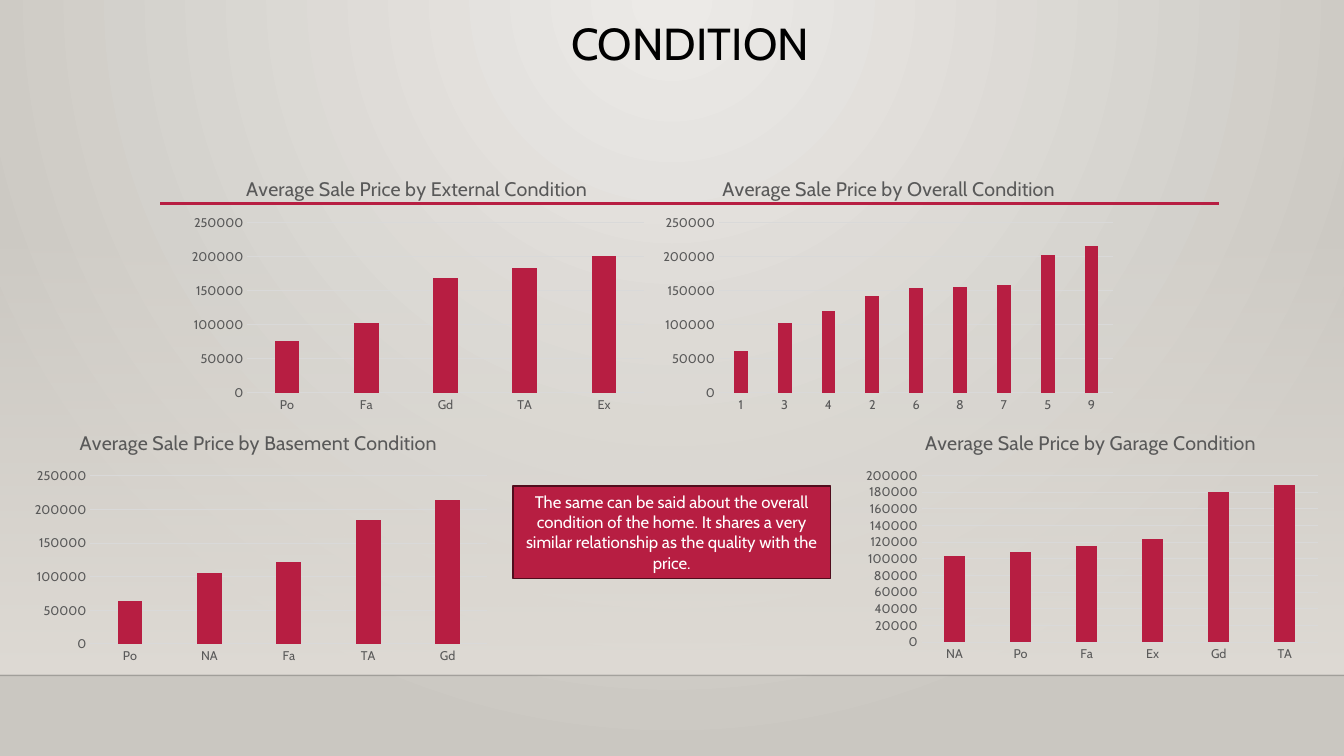
from lxml import etree
from pptx import Presentation
from pptx.chart.data import CategoryChartData
from pptx.dml.color import RGBColor
from pptx.enum.chart import XL_CHART_TYPE, XL_TICK_MARK
from pptx.enum.shapes import MSO_CONNECTOR, MSO_SHAPE
from pptx.enum.text import MSO_ANCHOR, PP_ALIGN
from pptx.oxml import parse_xml
from pptx.oxml.ns import nsdecls, qn
from pptx.util import Cm, Pt

COLUMNS = XL_CHART_TYPE.COLUMN_CLUSTERED
NO_TICK = XL_TICK_MARK.NONE
STRAIGHT = MSO_CONNECTOR.STRAIGHT
RECTANGLE = MSO_SHAPE.RECTANGLE
TOP, MIDDLE = MSO_ANCHOR.TOP, MSO_ANCHOR.MIDDLE
CENTER = PP_ALIGN.CENTER

FONT = "Cabin"
RED, GREY, GRID = "B71E42", "595959", "D9D9D9"
WIDTH, HEIGHT = 33.87, 19.05

# title, left, top, width, height, title offset, axis maximum, axis step, values
CHARTS = [
    ("Average Sale Price by Overall Condition", 16.46, 4.14, 11.84, 6.4, 0.14, 250000, 50000,
     {"1": 61000, "3": 102000, "4": 120000, "2": 142000, "6": 154000,
      "8": 156000, "7": 158000, "5": 203000, "9": 216000}),
    ("Average Sale Price by External Condition", 4.57, 4.14, 11.89, 6.4, 0.13, 250000, 50000,
     {"Po": 76000, "Fa": 103000, "Gd": 169000, "TA": 184000, "Ex": 201000}),
    ("Average Sale Price by Basement Condition", 0.61, 10.54, 11.91, 6.32, 0.11, 250000, 50000,
     {"Po": 64000, "NA": 106000, "Fa": 122000, "TA": 184000, "Gd": 214000}),
    ("Average Sale Price by Garage Condition", 21.56, 10.54, 11.89, 6.27, 0.14, 200000, 20000,
     {"NA": 103000, "Po": 108000, "Fa": 115000, "Ex": 124000, "Gd": 180000, "TA": 188000}),
]


def rgb(value):
    return RGBColor.from_string(value)


def style_font(font, size, color):
    font.name, font.size, font.bold = FONT, Pt(size), False
    font.color.rgb = rgb(color)


def set_alpha(color_element, percent):
    etree.SubElement(color_element, qn("a:alpha")).set("val", str(percent * 1000))


def set_gradient(fill, *colors):
    fill.gradient()
    for position, (stop, color) in enumerate(zip(fill.gradient_stops, colors)):
        stop.color.rgb = rgb(color)
        stop.position = position


def add_background(s):
    """Fill the slide with a gradient that spreads from its top centre."""
    set_gradient(s.background.fill, "ECEAE7", "CAC7C1")
    grad = s.element.xpath("./p:cSld/p:bg//a:gradFill")[0]
    grad.replace(grad.find(qn("a:lin")), parse_xml(
        f'<a:path {nsdecls("a")} path="circle">'
        '<a:fillToRect l="43000" t="0" r="43000" b="100000"/></a:path>'))


def add_floor(s):
    """Add a panel that fades in from clear at its top edge."""
    sp = s.shapes.add_shape(RECTANGLE, 0, Cm(5.61), Cm(WIDTH), Cm(11.4))
    sp.shadow.inherit = False
    sp.line.fill.background()
    set_gradient(sp.fill, "DFDBD5", "DFDBD5")
    sp.fill.gradient_angle = 270
    set_alpha(sp.element.xpath(".//a:gs/a:srgbClr")[0], 0)


def add_rule(s, left, right, y, color, width, alpha=100):
    line = s.shapes.add_connector(STRAIGHT, Cm(left), Cm(y), Cm(right), Cm(y))
    line.line.color.rgb = rgb(color)
    line.line.width = Pt(width)
    if alpha < 100:
        set_alpha(line.element.xpath(".//a:ln//a:srgbClr")[0], alpha)
    etree.SubElement(line.element.spPr, qn("a:effectLst"))


def write(sp, text, size, color, anchor):
    tf = sp.text_frame
    tf.word_wrap = True
    tf.vertical_anchor = anchor
    p = tf.paragraphs[0]
    p.text = text
    p.alignment = CENTER
    style_font(p.font, size, color)
    return p


def add_title(s, text):
    sp = s.shapes.add_textbox(Cm(4.06), Cm(0.43), Cm(26.67), Cm(2.92))
    write(sp, text, 32, "000000", TOP).line_spacing = 0.9


def add_callout(s, text):
    sp = s.shapes.add_shape(RECTANGLE, Cm(12.93), Cm(12.24), Cm(8), Cm(2.34))
    sp.shadow.inherit = False
    sp.fill.solid()
    sp.fill.fore_color.rgb = rgb(RED)
    sp.line.color.rgb = rgb("500D1D")
    sp.line.width = Pt(1.25)
    write(sp, text, 12, "FFFFFF", MIDDLE)


def place(element, successors, **layout):
    """Give a chart part a manual layout, in fractions of the chart."""
    for old in element.findall(qn("c:layout")):
        element.remove(old)
    node = etree.Element(qn("c:layout"))
    manual = etree.SubElement(node, qn("c:manualLayout"))
    for name, value in layout.items():
        etree.SubElement(manual, qn(f"c:{name}")).set("val", str(value))
    follower = next(child for child in element if child.tag in map(qn, successors))
    follower.addprevious(node)


def style_axis(axis):
    axis.major_tick_mark = axis.minor_tick_mark = NO_TICK
    style_font(axis.tick_labels.font, 9, GREY)


def add_column_chart(s, title, left, top, width, height, title_x, maximum, step, values):
    data = CategoryChartData()
    data.categories = list(values)
    data.add_series("Series 1", list(values.values()))
    chart = s.shapes.add_chart(COLUMNS, Cm(left), Cm(top), Cm(width), Cm(height), data).chart
    style_font(chart.font, 10, "000000")
    chart.has_legend = False

    chart.has_title = True
    p = chart.chart_title.text_frame.paragraphs[0]
    p.text = title
    style_font(p.font, 14, GREY)
    title_element = chart.element.xpath("./c:chart/c:title")[0]
    place(title_element, ["c:overlay"], xMode="edge", yMode="edge", x=title_x, y=0.03)
    place(chart.element.xpath(".//c:plotArea")[0], ["c:barChart"], layoutTarget="inner",
          xMode="edge", yMode="edge", x=0.14, y=0.23, w=0.84, h=0.67)

    plot = chart.plots[0]
    plot.gap_width, plot.overlap, plot.vary_by_categories = 219, -27, False
    fill = plot.series[0].format.fill
    fill.solid()
    fill.fore_color.rgb = rgb(RED)

    category, value = chart.category_axis, chart.value_axis
    style_axis(category)
    style_axis(value)
    value.minimum_scale, value.maximum_scale, value.major_unit = 0, maximum, step
    value.format.line.fill.background()
    for line in (category.format.line, value.major_gridlines.format.line):
        line.color.rgb = rgb(GRID)
        line.width = Pt(0.75)


def main():
    prs = Presentation()
    prs.slide_width, prs.slide_height = Cm(WIDTH), Cm(HEIGHT)
    s = prs.slides.add_slide(prs.slide_layouts[6])
    add_background(s)
    add_floor(s)
    add_rule(s, 0, WIDTH, 17.02, "000001", 1, alpha=20)
    add_rule(s, 4.04, 30.73, 5.13, RED, 2.5)
    add_title(s, "CONDITION")
    for chart in CHARTS:
        add_column_chart(s, *chart)
    add_callout(s, "The same can be said about the overall condition of the home. "
                   "It shares a very similar relationship as the quality with the price.")
    prs.save("out.pptx")


if __name__ == "__main__":
    main()
